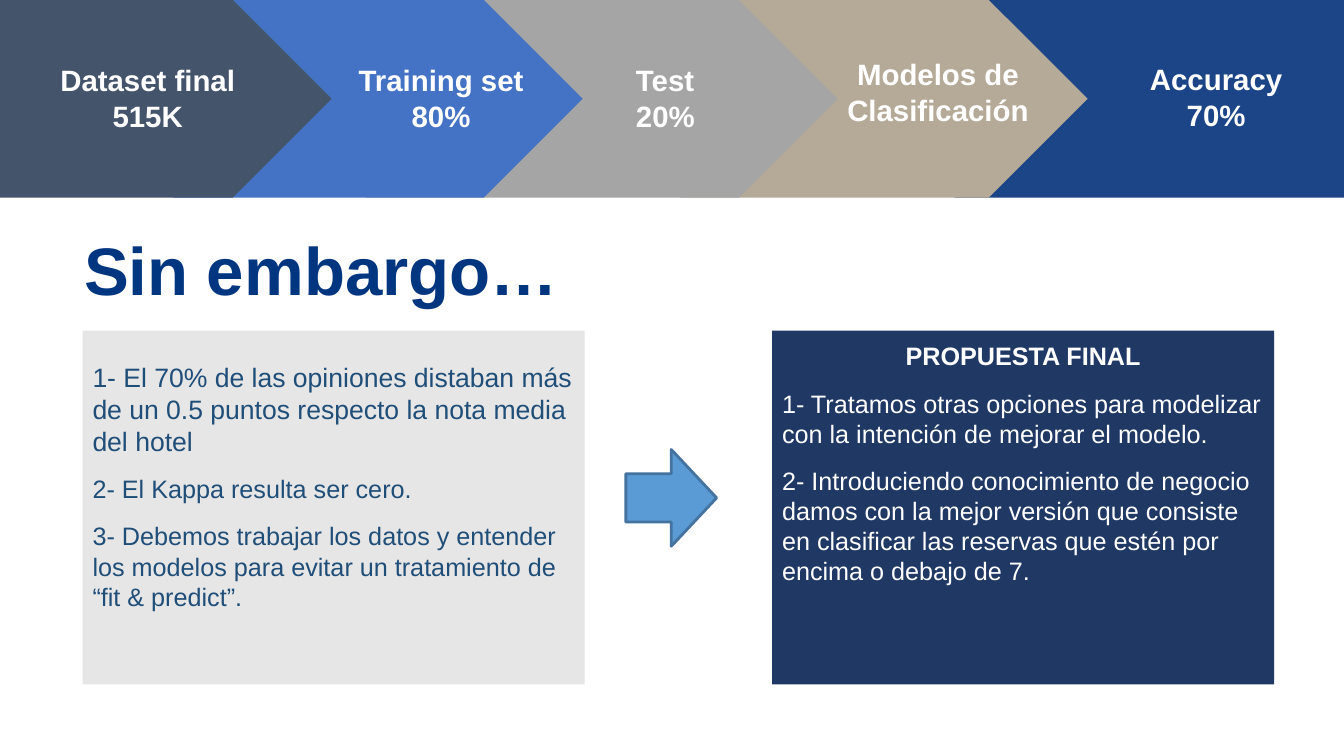
from dataclasses import dataclass

from pptx import Presentation
from pptx import util as u
from pptx.dml.color import RGBColor
from pptx.enum import shapes, text

Pt = u.Pt
CENTER, LEFT = text.PP_ALIGN.CENTER, text.PP_ALIGN.LEFT


@dataclass(frozen=True)
class Theme:
    """Colours, type sizes and font of the slide."""
    font: str = "Arial"
    title: str = "003580"
    white: str = "FFFFFF"
    ink: str = "1F4E79"
    grey: str = "E7E6E6"
    navy: str = "203864"
    arrow: str = "5B9BD5"
    arrow_line: str = "43739E"
    steps: tuple = ("44546A", "4472C4", "A5A5A5", "B5AA97", "1C4587")
    title_size: float = 48
    step_size: float = 21
    lead_size: float = 19
    body_size: float = 18


THEME = Theme()
BAND_H = 141.2
PANEL_Y, PANEL_W, PANEL_H = 236.2, 358.6, 252.7


def add_shape(slide, kind, box, fill, line=None):
    """Add a flat preset shape and return it."""
    sp = slide.shapes.add_shape(kind, *map(Pt, box))
    sp.shadow.inherit = False
    sp.fill.solid()
    sp.fill.fore_color.rgb = RGBColor.from_string(fill)
    if line:
        sp.line.color.rgb = RGBColor.from_string(line)
        sp.line.width = Pt(2)
    else:
        sp.line.fill.background()
    return sp


def setup_frame(sp, left, top):
    """Prepare the text frame of a shape with wrapping and equal side insets."""
    tf = sp.text_frame
    tf.word_wrap = True
    tf.vertical_anchor = text.MSO_ANCHOR.TOP
    tf.margin_left = tf.margin_right = Pt(left)
    tf.margin_top = tf.margin_bottom = Pt(top)
    return tf


def add_text(tf, words, *, size, color, bold=False, align=LEFT, before=0):
    """Append one formatted paragraph, using the empty first one if there is one."""
    first = not tf.text
    p = tf.paragraphs[0] if first else tf.add_paragraph()
    p.alignment = align
    p.space_before = Pt(0 if first else before)
    r = p.add_run()
    r.text = words
    r.font.name = THEME.font
    r.font.size = Pt(size)
    r.font.bold = bold
    r.font.color.rgb = RGBColor.from_string(color)


def add_label(slide, lines, box, **fmt):
    """Add a text box with one paragraph per line."""
    sp = slide.shapes.add_textbox(*map(Pt, box))
    tf = setup_frame(sp, 0, 0)
    for line in lines:
        add_text(tf, line, bold=True, **fmt)


def add_panel(slide, x, fill, top, paragraphs):
    """Add a filled panel with (words, format) paragraphs."""
    sp = add_shape(slide, shapes.MSO_SHAPE.RECTANGLE,
                   (x, PANEL_Y, PANEL_W, PANEL_H), fill)
    tf = setup_frame(sp, 7.2, top)
    for words, fmt in paragraphs:
        add_text(tf, words, before=12, **fmt)


def add_process(slide):
    """Add the overlapping process band and its labels."""
    steps = [
        (0, 236.9, ("Dataset final", "515K"), (21.6, 44.6, 167.8), CENTER),
        (123.8, 292.4, ("Training set", "80%"), (239.8, 44.6, 150.5), CENTER),
        (261.4, 337, ("Test", "20%"), (454.3, 44.6, 136), LEFT),
        (486, 290.9, ("Modelos de", "Clasificación"), (594, 40.3, 152), CENTER),
        (681.8, 278.2, ("Accuracy", "70%"), (793.4, 43.9, 150.5), CENTER),
    ]
    last = len(steps) - 1
    for i, (x, w, *_) in reversed(list(enumerate(steps))):
        kind = shapes.MSO_SHAPE.RECTANGLE if i == last else shapes.MSO_SHAPE.PENTAGON
        add_shape(slide, kind, (x, 0, w, BAND_H), THEME.steps[i])
    for _, _, lines, box, align in steps:
        add_label(slide, lines, (*box, 52), size=THEME.step_size,
                  color=THEME.white, align=align)


def main():
    """Build the slide and save it."""
    prs = Presentation()
    prs.slide_width, prs.slide_height = Pt(960), Pt(540)
    s = prs.slides.add_slide(prs.slide_layouts[6])

    add_process(s)
    add_label(s, ["Sin embargo…"], (60, 163, 480, 56),
              size=THEME.title_size, color=THEME.title)

    lead = dict(size=THEME.lead_size, color=THEME.ink)
    body = dict(size=THEME.body_size, color=THEME.ink)
    light = dict(size=THEME.body_size, color=THEME.white)
    add_panel(s, 59, THEME.grey, 21.8, [
        ("1- El 70% de las opiniones distaban más de un 0.5 puntos respecto "
         "la nota media del hotel", lead),
        ("2- El Kappa resulta ser cero.", body),
        ("3- Debemos trabajar los datos y entender los modelos para evitar un "
         "tratamiento de “fit & predict”.", body),
    ])
    add_panel(s, 551.5, THEME.navy, 7.2, [
        ("PROPUESTA FINAL", dict(light, bold=True, align=CENTER)),
        ("1- Tratamos otras opciones para modelizar con la intención de "
         "mejorar el modelo.", light),
        ("2- Introduciendo conocimiento de negocio damos con la mejor versión "
         "que consiste en clasificar las reservas que estén por encima o "
         "debajo de 7.", light),
    ])
    add_shape(s, shapes.MSO_SHAPE.RIGHT_ARROW, (447.1, 321.1, 64.8, 69.1),
              THEME.arrow, THEME.arrow_line)
    prs.save("out.pptx")


if __name__ == "__main__":
    main()
